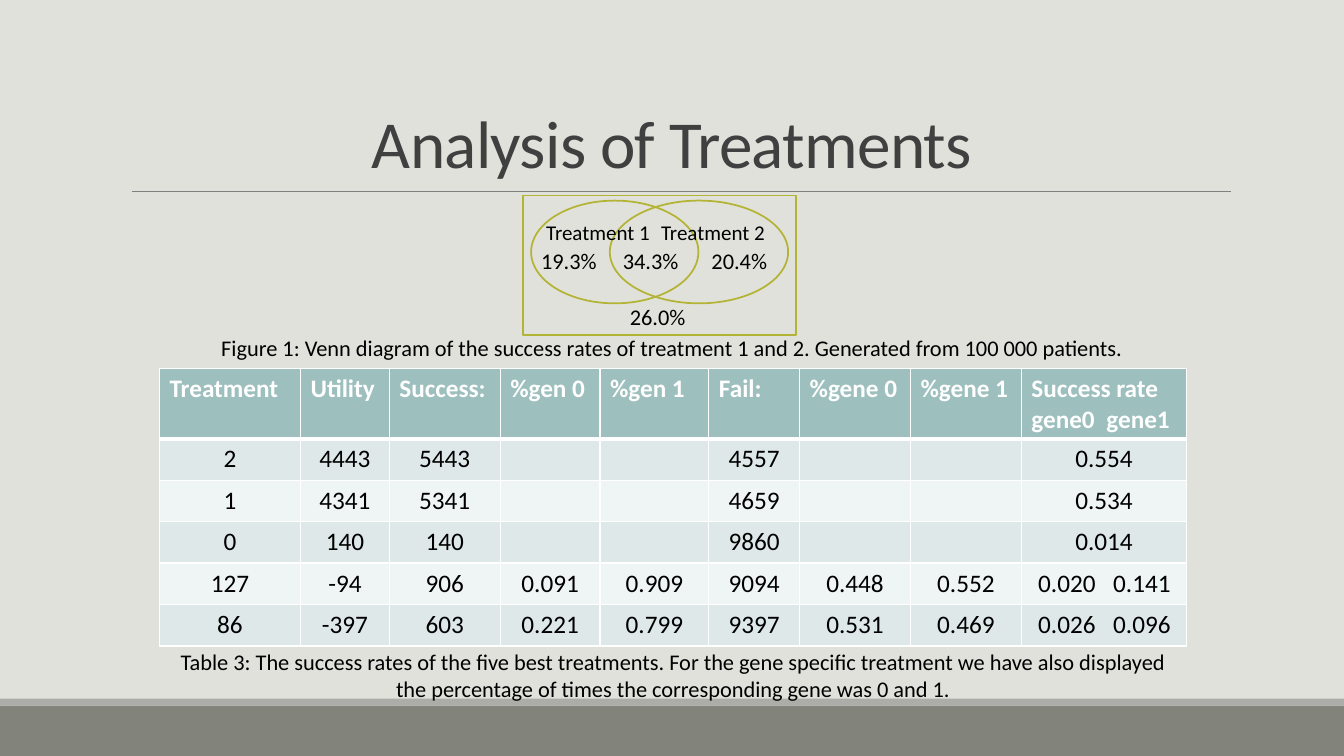
from lxml import etree
from pptx import Presentation
from pptx.dml.color import RGBColor
from pptx.enum import shapes, text
from pptx.oxml import ns
from pptx.util import Pt

FONT = "Calibri"
BACKGROUND = RGBColor(0xE1, 0xE1, 0xDB)
FOOTER = RGBColor(0x82, 0x84, 0x7C)
FOOTER_EDGE = RGBColor(0xAC, 0xAD, 0xA8)
RULE = RGBColor(0x80, 0x80, 0x80)
TITLE = RGBColor(0x40, 0x40, 0x40)
OLIVE = RGBColor(0xB3, 0xB4, 0x35)
HEADER = RGBColor(0x9D, 0xBF, 0xBE)
BANDS = (RGBColor(0xDF, 0xE8, 0xE8), RGBColor(0xEF, 0xF4, 0xF4))
BLACK = RGBColor(0, 0, 0)
WHITE = RGBColor(0xFF, 0xFF, 0xFF)

SLIDE_W, SLIDE_H = 960, 540
TABLE_X, TABLE_Y, TABLE_W = 113.9, 263, 733.8
COLUMNS = (100.8, 63.4, 79.2, 71.3, 77.8, 64.8, 79.2, 79.2, 118.1)
HEADER_H, ROW_H = 47.5, 29.6
PAIR_TAB = 53.6  # start of the second value in a gene0/gene1 pair

ROWS = (
    ("Treatment", "Utility", "Success:", "%gen 0", "%gen 1", "Fail:",
     "%gene 0", "%gene 1", "Success rate\ngene0\tgene1"),
    ("2", "4443", "5443", "", "", "4557", "", "", "0.554"),
    ("1", "4341", "5341", "", "", "4659", "", "", "0.534"),
    ("0", "140", "140", "", "", "9860", "", "", "0.014"),
    ("127", "-94", "906", "0.091", "0.909", "9094", "0.448", "0.552",
     "0.020\t0.141"),
    ("86", "-397", "603", "0.221", "0.799", "9397", "0.531", "0.469",
     "0.026\t0.096"),
)


def sub(parent, tag, **attrs):
    return etree.SubElement(parent, ns.qn(tag), **attrs)


def write(tf, content, size, color, align=None, bold=False):
    """Fill a text frame, one paragraph per line."""
    tf.text = content
    formats = {"name": FONT, "size": Pt(size), "bold": bold}
    for p in tf.paragraphs:
        p.alignment = align
        for r in p.runs:
            for name, value in formats.items():
                setattr(r.font, name, value)
            r.font.color.rgb = color
        if "\t" in p.text:
            tabs = sub(p._p.get_or_add_pPr(), "a:tabLst")
            sub(tabs, "a:tab", pos=str(int(Pt(PAIR_TAB))), algn="l")


def add_text(s, box, content, size, color=BLACK, align=None, wrap=True):
    sp = s.shapes.add_textbox(*map(Pt, box))
    tf = sp.text_frame
    tf.word_wrap = wrap
    write(tf, content, size, color, align)
    return tf


def add_preset(s, kind, box, fill=None, line=None):
    sp = s.shapes.add_shape(kind, *map(Pt, box))
    sp.shadow.inherit = False
    if fill is None:
        sp.fill.background()
    else:
        sp.fill.solid()
        sp.fill.fore_color.rgb = fill
    if line is None:
        sp.line.fill.background()
    else:
        sp.line.color.rgb = line
        sp.line.width = Pt(1.25)


def add_rule(s, x1, x2, y):
    cx = s.shapes.add_connector(shapes.MSO_CONNECTOR.STRAIGHT,
                                Pt(x1), Pt(y), Pt(x2), Pt(y))
    cx.line.color.rgb = RULE
    cx.line.width = Pt(0.5)
    sub(cx._element.spPr, "a:effectLst")


def add_borders(cell, bottom, top):
    widths = {"a:lnL": 1, "a:lnR": 1, "a:lnT": top, "a:lnB": bottom}
    for tag, width in widths.items():
        ln = sub(cell._tc.get_or_add_tcPr(), tag, w=str(int(Pt(width))))
        sub(sub(ln, "a:solidFill"), "a:srgbClr", val=str(WHITE))


def add_results_table(s):
    height = HEADER_H + ROW_H * (len(ROWS) - 1)
    frame = s.shapes.add_table(len(ROWS), len(COLUMNS),
                               *map(Pt, (TABLE_X, TABLE_Y, TABLE_W, height)))
    table = frame.table
    for column, width in zip(table.columns, COLUMNS):
        column.width = Pt(width)
    for i, values in enumerate(ROWS):
        head = i == 0
        table.rows[i].height = Pt(HEADER_H if head else ROW_H)
        for j, value in enumerate(values):
            cell = table.cell(i, j)
            add_borders(cell, 3 if head else 1, 3 if i == 1 else 1)
            cell.fill.solid()
            cell.fill.fore_color.rgb = HEADER if head else BANDS[(i - 1) % 2]
            pair = "\t" in value
            if pair and not head:
                cell.margin_left = Pt(12)
            align = None if head or pair else text.PP_ALIGN.CENTER
            write(cell.text_frame, value, 18, WHITE if head else BLACK,
                  align, head)


def add_venn(s):
    kind = shapes.MSO_SHAPE
    add_preset(s, kind.OVAL, (379.4, 143.3, 119.5, 73.4), line=OLIVE)
    add_preset(s, kind.OVAL, (435.6, 143.3, 127.4, 73.4), line=OLIVE)
    add_preset(s, kind.RECTANGLE, (373.7, 139.7, 195.1, 99.4), line=OLIVE)
    rates = (("19.3%", 379.4, 172.8), ("34.3%", 437.8, 172.8),
             ("20.4%", 501.1, 172.8), ("26.0%", 442.8, 213.1))
    for rate, x, y in rates:
        add_text(s, (x, y, 56.2, 26.6), rate, 16, wrap=False)
    for name, x in (("Treatment 1", 383), ("Treatment 2", 465.1)):
        add_text(s, (x, 153, 101.5, 25.2), name, 15)


def main():
    prs = Presentation()
    prs.slide_width, prs.slide_height = Pt(SLIDE_W), Pt(SLIDE_H)
    s = prs.slides.add_slide(prs.slide_layouts[6])
    s.background.fill.solid()
    s.background.fill.fore_color.rgb = BACKGROUND

    # Footer bands and title rule
    rect = shapes.MSO_SHAPE.RECTANGLE
    add_preset(s, rect, (0, 504, SLIDE_W, 36), fill=FOOTER)
    add_preset(s, rect, (0, 499, SLIDE_W, 5), fill=FOOTER_EDGE)
    add_rule(s, 94.3, 879.1, 136.8)

    # Title
    center = text.PP_ALIGN.CENTER
    tf = add_text(s, (0, 19.4, SLIDE_W, 114.5), "Analysis of Treatments",
                  48, TITLE, center)
    tf.vertical_anchor = text.MSO_ANCHOR.BOTTOM
    p = tf.paragraphs[0]
    p.line_spacing = 0.85
    p.runs[0].font._element.set("spc", "-50")

    # Table, diagram and captions
    add_results_table(s)
    add_venn(s)
    add_text(s, (0, 235.4, SLIDE_W, 26.6),
             "Figure 1: Venn diagram of the success rates of treatment 1 and 2."
             " Generated from 100 000 patients.", 16, align=center)
    add_text(s, (TABLE_X, 459.4, TABLE_W, 46.1),
             "Table 3: The success rates of the five best treatments. For the "
             "gene specific treatment we have also displayed the percentage of "
             "times the corresponding gene was 0 and 1.", 16, align=center)
    prs.save("out.pptx")


if __name__ == "__main__":
    main()
